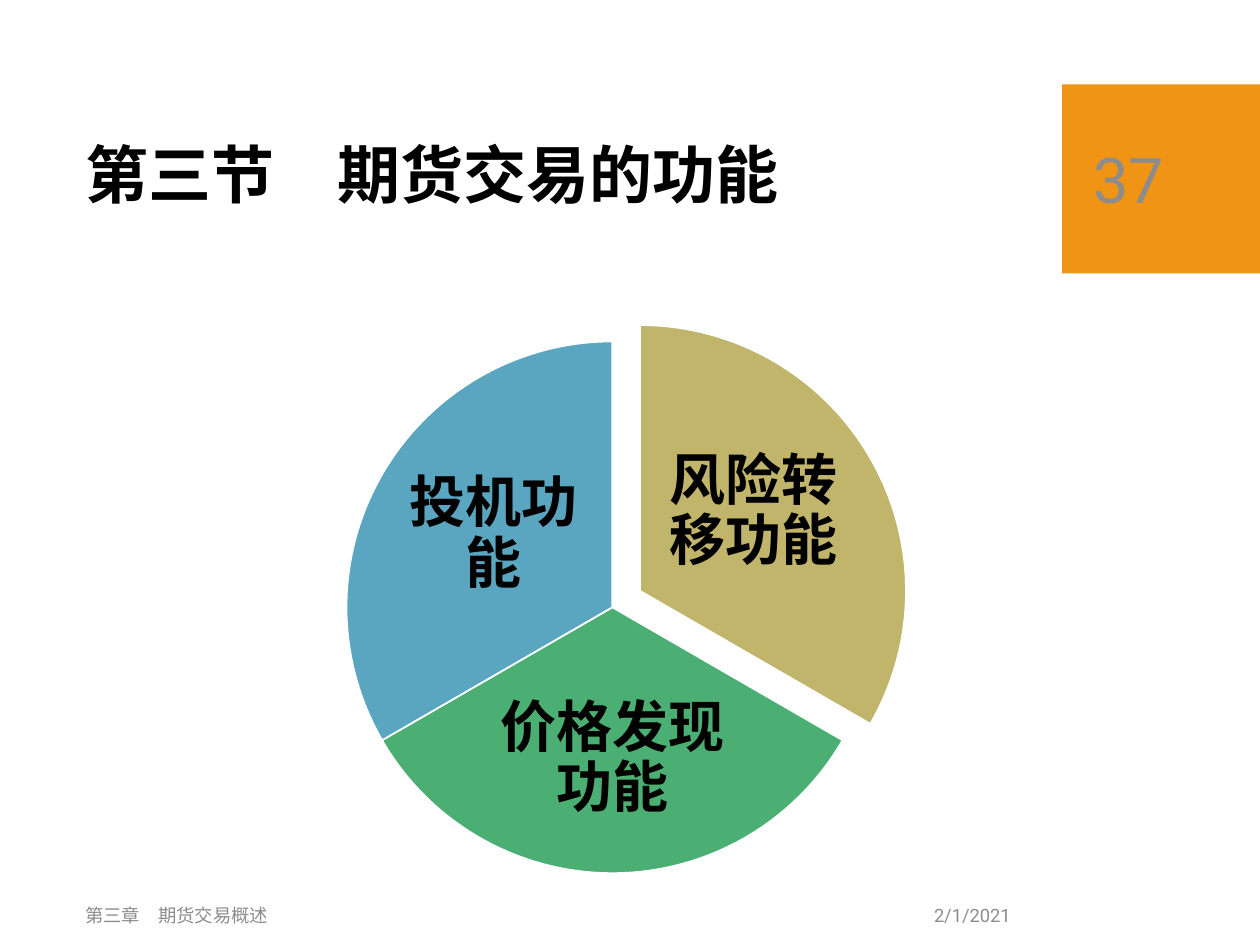
from pptx import Presentation
from pptx.dml.color import RGBColor
from pptx.enum.shapes import MSO_SHAPE
from pptx.enum.text import MSO_ANCHOR, MSO_AUTO_SIZE, PP_ALIGN
from pptx.util import Inches, Pt

RECTANGLE, PIE = MSO_SHAPE.RECTANGLE, MSO_SHAPE.PIE
LEFT, CENTER, RIGHT = PP_ALIGN.LEFT, PP_ALIGN.CENTER, PP_ALIGN.RIGHT
MIDDLE = MSO_ANCHOR.MIDDLE
NO_FIT = MSO_AUTO_SIZE.NONE

ORANGE = RGBColor(0xF0, 0x94, 0x15)
SAND = RGBColor(0xC1, 0xB5, 0x6B)
GREEN = RGBColor(0x4B, 0xAF, 0x73)
BLUE = RGBColor(0x5A, 0xA6, 0xC0)
WHITE = RGBColor(0xFF, 0xFF, 0xFF)
BLACK = RGBColor(0, 0, 0)
GRAY = RGBColor(0x8C, 0x8C, 0x8C)

FONT = "Roboto"
COLUMNS, ROWS = 100, 75
TITLE_ONLY = 5
DIAMETER = 42.2
PIE_LEFT, PIE_TOP = 27.5, 27.1
START_ANGLE = 162
SECTOR_ANGLE = 72
FULL_CIRCLE = 216


class SlideBuilder:
    def __init__(self, deck):
        self.deck = deck
        self.page = deck.slides.add_slide(deck.slide_layouts[TITLE_ONLY])

    def place(self, left, top, width, height):
        column = self.deck.slide_width / COLUMNS
        row = self.deck.slide_height / ROWS
        return (round(left * column), round(top * row),
                round(width * column), round(height * row))

    def fill_text(self, box, text, size, color, align=LEFT, bold=False,
                  spacing=1.0, inset=None):
        frame = box.text_frame
        frame_format = {"word_wrap": True, "auto_size": NO_FIT,
                        "vertical_anchor": MIDDLE}
        if inset is not None:
            for side in ("left", "top", "right", "bottom"):
                frame_format[f"margin_{side}"] = Inches(inset)
        for name, value in frame_format.items():
            setattr(frame, name, value)
        para = frame.paragraphs[0]
        para.alignment = align
        para.line_spacing = spacing
        span = para.add_run()
        span.text = text
        font_format = {"name": FONT, "size": Pt(size), "bold": bold}
        for name, value in font_format.items():
            setattr(span.font, name, value)
        span.font.color.rgb = color

    def title(self, area, text):
        box = self.page.shapes.title
        names = ("left", "top", "width", "height")
        for name, value in zip(names, self.place(*area)):
            setattr(box, name, value)
        self.fill_text(box, text, 36, BLACK, bold=True, spacing=0.9)

    def text(self, area, text, size, color, **style):
        box = self.page.shapes.add_textbox(*self.place(*area))
        self.fill_text(box, text, size, color, **style)

    def shape(self, kind, area, fill):
        shape = self.page.shapes.add_shape(kind, *self.place(*area))
        shape.shadow.inherit = False
        shape.fill.solid()
        shape.fill.fore_color.rgb = fill
        shape.line.fill.background()
        return shape

    def sector(self, index, fill, shift, label, label_area):
        across, down = shift
        area = (PIE_LEFT + across, PIE_TOP + down, DIAMETER, DIAMETER)
        sector = self.shape(PIE, area, fill)
        start = START_ANGLE + index * SECTOR_ANGLE
        sector.adjustments[0] = start % FULL_CIRCLE
        sector.adjustments[1] = (start + SECTOR_ANGLE) % FULL_CIRCLE
        sector.line.color.rgb = WHITE
        sector.line.width = Pt(1)
        self.text(label_area, label, 32, BLACK, align=CENTER, bold=True,
                  spacing=0.9, inset=0.04)


def main():
    deck = Presentation()
    deck.slide_width, deck.slide_height = Inches(10), Inches(7.5)
    builder = SlideBuilder(deck)

    builder.shape(RECTANGLE, (84.3, 6.7, 15.7, 15), ORANGE)
    builder.title((5.8, 8.2, 75.4, 11.8), "第三节　期货交易的功能")

    sectors = [
        (SAND, (2.2, -1.3), "风险转移功能", (52.7, 33.6, 14.3, 14.1)),
        (GREEN, (0, 0), "价格发现功能", (39.1, 53.7, 19.1, 13.1)),
        (BLUE, (0, 0), "投机功能", (32, 35.4, 14.3, 14.1)),
    ]
    for index, sector in enumerate(sectors):
        builder.sector(index, *sector)

    builder.text((58.7, 70.6, 22.5, 4), "2/1/2021", 10.5, GRAY, align=RIGHT)
    builder.text((5.8, 70.6, 52.9, 4), "第三章　期货交易概述", 10.5, GRAY)
    builder.text((85.8, 8.2, 12.7, 11.9), "37", 36, GRAY)

    deck.save("out.pptx")


if __name__ == "__main__":
    main()
